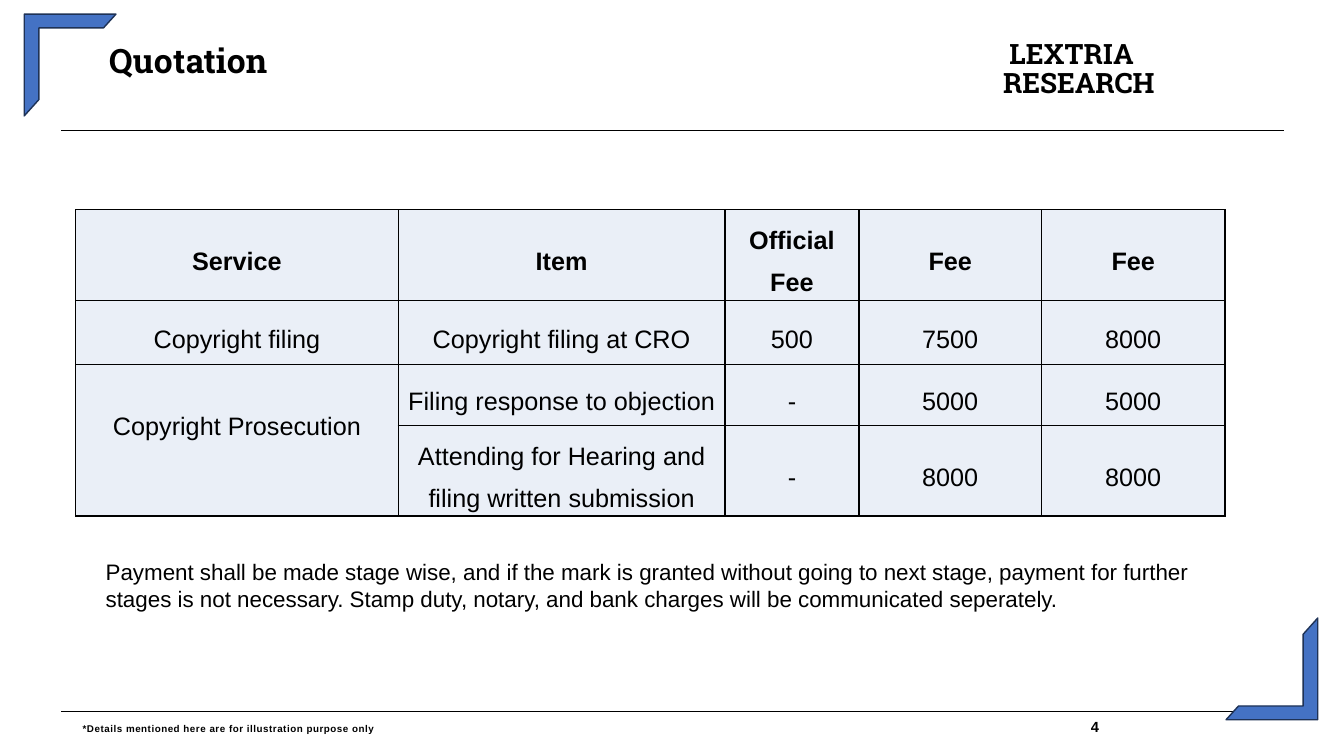
import pptx
import pptx.dml.color
import pptx.enum.shapes
import pptx.enum.text
import pptx.oxml
import pptx.oxml.ns
import pptx.util
from lxml import etree

Inches, Pt = pptx.util.Inches, pptx.util.Pt
MIDDLE = pptx.enum.text.MSO_ANCHOR.MIDDLE
TOP = pptx.enum.text.MSO_ANCHOR.TOP
LEFT = pptx.enum.text.PP_ALIGN.LEFT
CENTER = pptx.enum.text.PP_ALIGN.CENTER
SLAB, SANS = "Roboto Slab", "Arial"
INK, BLUE, NAVY, PALE = "000000", "4472C4", "1E3256", "EAEFF7"


def paint(color_format, value):
    color_format.rgb = pptx.dml.color.RGBColor.from_string(value)


def add_text(para, text, size, face=SANS, bold=False, tracking=0):
    """Add one run; tracking is in hundredths of a point."""
    span = para.add_run()
    span.text = text
    span.font.size, span.font.name, span.font.bold = Pt(size), face, bold
    paint(span.font.color, INK)
    if tracking:
        span.font._element.set("spc", str(tracking))


deck = pptx.Presentation()
deck.slide_width, deck.slide_height = Inches(13.33), Inches(7.5)
page = deck.slides.add_slide(deck.slide_layouts[5])

# Rules under the heading and above the footer
for rule_top in (1.29, 7.06):
    rule = page.shapes.add_connector(
        pptx.enum.shapes.MSO_CONNECTOR.STRAIGHT,
        Inches(0.61), Inches(rule_top), Inches(12.73), Inches(rule_top))
    paint(rule.line.color, INK)
    rule.line.width = Pt(0.5)
    etree.SubElement(rule._element.spPr, pptx.oxml.ns.qn("a:effectLst"))

# Title
title = page.shapes.title
title.left, title.top, title.width, title.height = map(Inches, (1.08, 0.48, 8, 0.6))
title_para = title.text_frame.paragraphs[0]
title_para.alignment, title_para.line_spacing = LEFT, 0.79
add_text(title_para, "Quotation", 24, SLAB, True, 10)

# Firm name
firm = page.shapes.add_textbox(Inches(9.95), Inches(0.41), Inches(1.89), Inches(0.61))
for index, (word, tracking) in enumerate((("LEXTRIA", 10), ("RESEARCH", -10))):
    para = firm.text_frame.paragraphs[0] if index == 0 else firm.text_frame.add_paragraph()
    para.line_spacing = 0.87
    if index == 0:
        para._p.get_or_add_pPr().set("indent", str(Inches(0.06)))
    add_text(para, word, 20, SLAB, True, tracking)

# Corner brackets
for left, top, angle in ((0.24, 0.14, 0), (12.16, 6.13, 180)):
    bracket = page.shapes.add_shape(
        pptx.enum.shapes.MSO_SHAPE.HALF_FRAME,
        Inches(left), Inches(top), Inches(0.91), Inches(1.01))
    bracket.shadow.inherit = False
    bracket.rotation = angle
    bracket.adjustments[0], bracket.adjustments[1] = 0.15, 0.16
    bracket.fill.solid()
    paint(bracket.fill.fore_color, BLUE)
    paint(bracket.line.color, NAVY)
    bracket.line.width = Pt(1)

# Footer: disclaimer and page number on one line
footer = page.shapes.add_textbox(Inches(0.82), Inches(7.15), Inches(11.92), Inches(0.21))
footer_para = footer.text_frame.paragraphs[0]
tabs = etree.SubElement(footer_para._p.get_or_add_pPr(), pptx.oxml.ns.qn("a:tabLst"))
etree.SubElement(tabs, pptx.oxml.ns.qn("a:tab"), pos=str(Inches(10)), algn="l")
footer_para.line_spacing = 0.84
add_text(footer_para, "*Details mentioned here are for illustration purpose only\t", 7, SANS, True, 40)
add_text(footer_para, "4", 10.5, SANS, True, 40)

for box in (title, firm, footer):
    frame = box.text_frame
    frame.word_wrap = True
    frame.auto_size = pptx.enum.text.MSO_AUTO_SIZE.NONE
    frame.vertical_anchor = TOP
    frame.margin_left = frame.margin_right = frame.margin_top = frame.margin_bottom = 0

# Fee table
column_widths = (3.2, 3.24, 1.33, 1.81, 1.82)
row_heights = (0.9, 0.64, 0.6, 0.9)
fees = (
    ("Service", "Item", "Official Fee", "Fee", "Fee"),
    ("Copyright filing", "Copyright filing at CRO", "500", "7500", "8000"),
    ("Copyright Prosecution", "Filing response to objection", "-", "5000", "5000"),
    ("", "Attending for Hearing and filing written submission", "-", "8000", "8000"),
)
table = page.shapes.add_table(
    len(fees), len(column_widths), Inches(0.75), Inches(2.08),
    Inches(sum(column_widths)), Inches(sum(row_heights))).table
for column, width in zip(table.columns, column_widths):
    column.width = Inches(width)
for row, height in zip(table.rows, row_heights):
    row.height = Inches(height)
for row_index, values in enumerate(fees):
    for column_index, value in enumerate(values):
        cell = table.cell(row_index, column_index)
        cell.vertical_anchor = MIDDLE
        cell.margin_left = cell.margin_right = Inches(0.07)
        cell.margin_top = cell.margin_bottom = 0
        for side in ("lnL", "lnR", "lnT", "lnB"):
            cell._tc.get_or_add_tcPr().append(pptx.oxml.parse_xml(
                f'<a:{side} {pptx.oxml.ns.nsdecls("a")} w="{Pt(1)}"><a:solidFill>'
                f'<a:srgbClr val="{INK}"/></a:solidFill></a:{side}>'))
        cell.fill.solid()
        paint(cell.fill.fore_color, PALE)
        if value:
            para = cell.text_frame.paragraphs[0]
            para.alignment, para.line_spacing = CENTER, 1.5
            add_text(para, value, 18, bold=row_index == 0)
prosecution = table.cell(2, 0)
prosecution.merge(table.cell(3, 0))
prosecution.margin_bottom = Inches(0.42)

# Payment terms
terms = page.shapes.add_textbox(Inches(0.95), Inches(5.49), Inches(11.63), Inches(0.64))
terms.text_frame.word_wrap = True
add_text(terms.text_frame.paragraphs[0],
         "Payment shall be made stage wise, and if the mark is granted without going to next stage, "
         "payment for further stages is not necessary. Stamp duty, notary, and bank charges will be "
         "communicated seperately.", 16)

deck.save("out.pptx")
